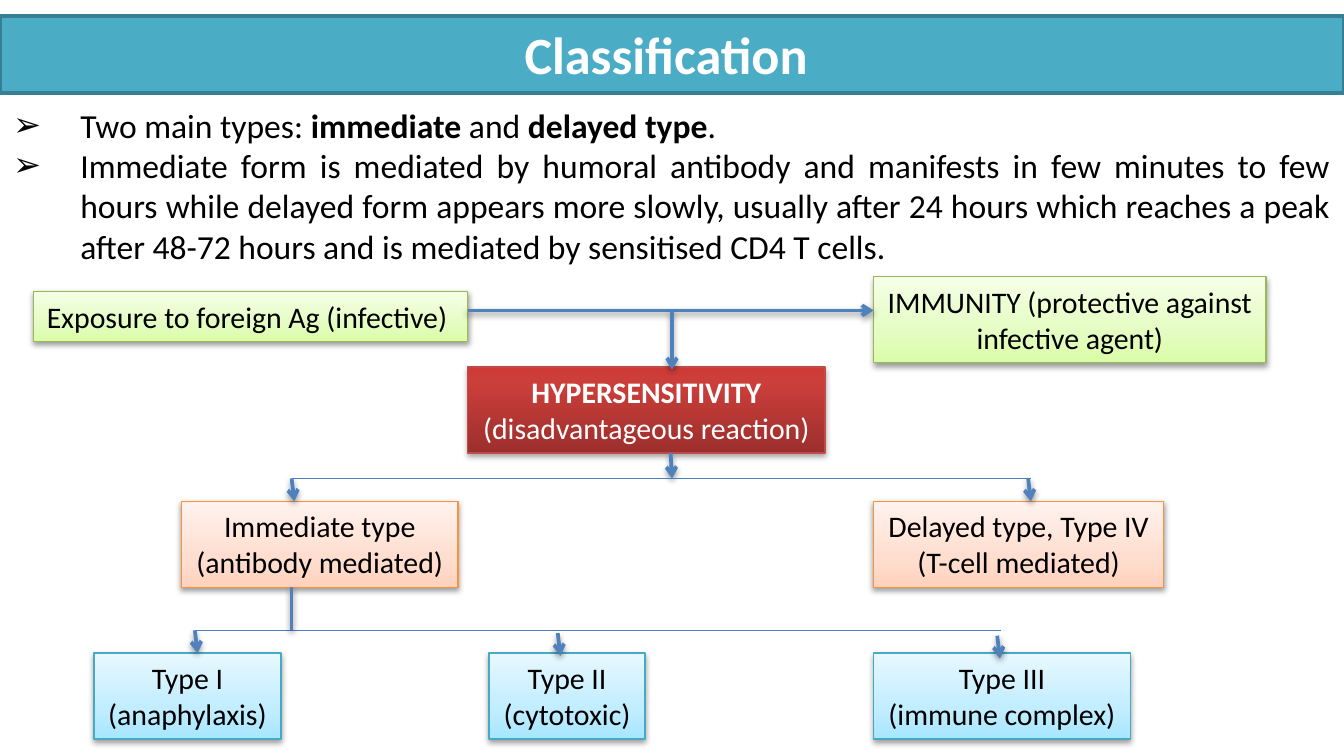
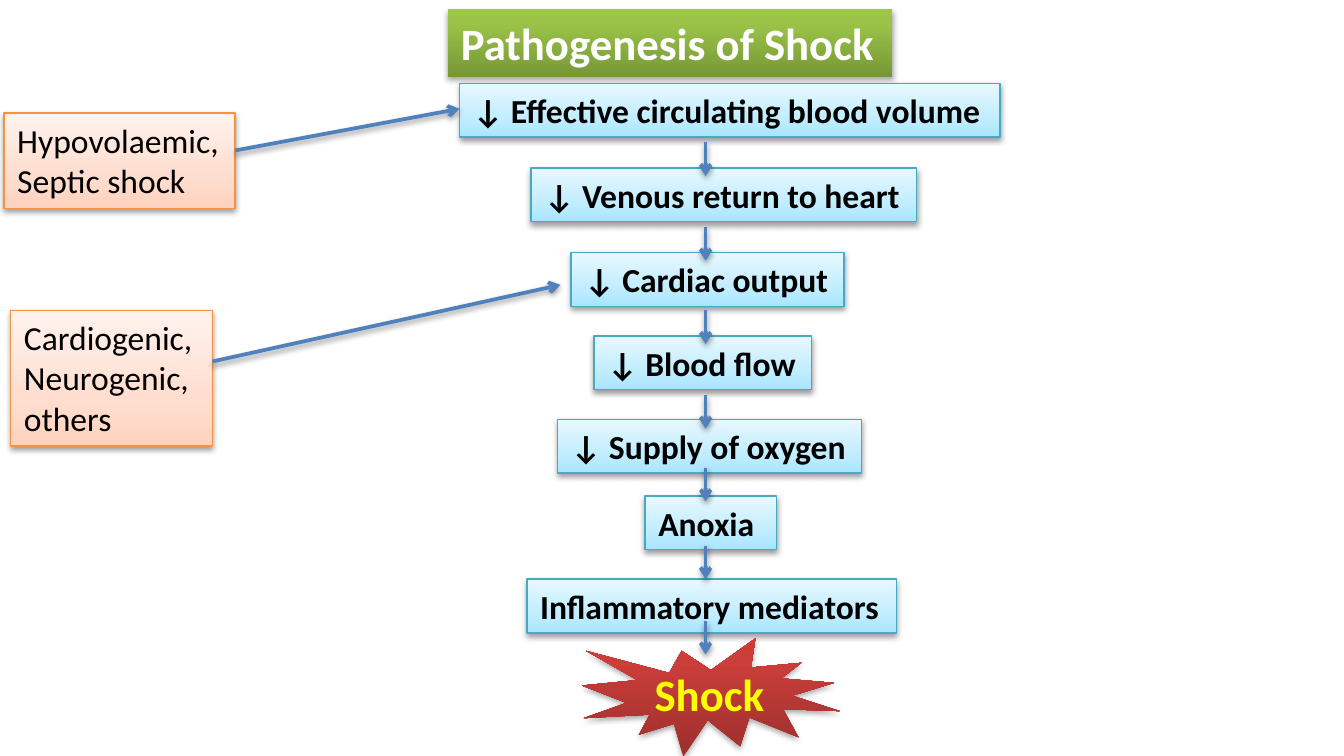
from dataclasses import dataclass

from lxml import etree
from pptx import Presentation
from pptx import util as u
from pptx.dml.color import RGBColor
from pptx.enum import shapes, text
from pptx.oxml.ns import qn

PX = 9144  # EMU in one px, 100 px to the inch
LEFT, CENTER, JUSTIFY = text.PP_ALIGN.LEFT, text.PP_ALIGN.CENTER, text.PP_ALIGN.JUSTIFY


@dataclass(frozen=True)
class Style:
    """Gradient stops from bottom to top, outline, and shadow strength."""
    stops: tuple
    line: str = ""
    shadow_alpha: int = 38000
    shadow_distance: int = 20000


class Theme:
    font = "Calibri"
    black, white, yellow = "000000", "FFFFFF", "FFFF00"
    band, band_line = "4BACC6", "377F92"
    arrow, branch = "4F81BD", "4B7EBC"
    banner_size, heading_size, body_size, node_size = 28, 24, 18, 16
    thin, thick = 0.75, 2

    lime = Style(((0, "DAFDA7"), (35, "E4FCC2"), (100, "F5FFE7")), "98B955")
    peach = Style(((0, "FFD2BD"), (35, "FFDED0"), (100, "FFF2ED")), "F69240")
    sky = Style(((0, "A7E6FF"), (35, "C1EDFF"), (100, "E7F8FF")), "46AAC5")
    red_stops = ((0, "9C2F2D"), (80, "CB3E3A"), (100, "CE3B37"))
    red = Style(red_stops, "BF4C48", 35000, 23000)
    burst = Style(red_stops, "", 35000, 23000)
    green = Style(((0, "779737"), (80, "9BC348"), (100, "9DC746")), "", 35000, 23000)


@dataclass(frozen=True)
class Box:
    left: int
    top: int
    width: int
    height: int

    def inside(self, left, top, width, height):
        return Box(self.left + left, self.top + top, width, height)

    def point(self, x, y):
        return self.left + x, self.top + y

    def emu(self):
        return [n * PX for n in (self.left, self.top, self.width, self.height)]


def add_child(parent, tag, **attributes):
    return etree.SubElement(parent, qn(tag), {k: str(v) for k, v in attributes.items()})


def add_shadow(effects, alpha=38000, distance=20000):
    shadow = add_child(effects, "a:outerShdw", blurRad=40000, dist=distance,
                       dir=5400000, rotWithShape=0)
    add_child(add_child(shadow, "a:srgbClr", val=Theme.black), "a:alpha", val=alpha)


def set_line(line, color, width):
    line.color.rgb = RGBColor.from_string(color)
    line.width = u.Pt(width)


def apply_style(shape, style):
    shape.fill.gradient()
    shape.fill.gradient_angle = 90
    properties = shape.element.spPr
    stop_list = properties.find(qn("a:gradFill")).find(qn("a:gsLst"))
    for stop in list(stop_list):
        stop_list.remove(stop)
    for position, color in style.stops:
        stop = add_child(stop_list, "a:gs", pos=position * 1000)
        add_child(stop, "a:srgbClr", val=color)
    if style.line:
        set_line(shape.line, style.line, Theme.thin)
    else:
        shape.line.fill.background()
    shape.shadow.inherit = False
    add_shadow(properties.find(qn("a:effectLst")), style.shadow_alpha, style.shadow_distance)


def write(shape, paragraphs, size, color=Theme.black, align=LEFT, wrap=True,
          anchor=text.MSO_ANCHOR.TOP, bullet=""):
    """Fill a shape with paragraphs, each a list of (text, bold) runs."""
    frame = shape.text_frame
    frame.word_wrap = wrap
    frame.vertical_anchor = anchor
    for index, runs in enumerate(paragraphs):
        paragraph = frame.add_paragraph() if index else frame.paragraphs[0]
        paragraph.alignment = align
        if bullet:
            properties = paragraph._p.get_or_add_pPr()
            properties.set("marL", str(50 * PX))
            properties.set("indent", str(-50 * PX))
            add_child(properties, "a:buFont", typeface=Theme.font)
            add_child(properties, "a:buChar", char=bullet)
        for words, bold in runs:
            run = paragraph.add_run()
            run.text = words
            run.font.name = Theme.font
            run.font.size = u.Pt(size)
            run.font.bold = bold
            run.font.color.rgb = RGBColor.from_string(color)


def add_node(slide, box, style, lines, size, bold=False, kind=shapes.MSO_SHAPE.RECTANGLE,
             **options):
    node = slide.shapes.add_shape(kind, *box.emu())
    apply_style(node, style)
    write(node, [[(line, bold)] for line in lines], size, **options)
    return node


def add_line(slide, start, end, color=Theme.arrow, width=Theme.thick, head=True, shadow=True):
    line = slide.shapes.add_connector(shapes.MSO_CONNECTOR.STRAIGHT,
                                      *(n * PX for n in (*start, *end)))
    set_line(line.line, color, width)
    properties = line.element.spPr
    if head:
        add_child(properties.find(qn("a:ln")), "a:tailEnd", type="arrow")
    effects = add_child(properties, "a:effectLst")
    if shadow:
        add_shadow(effects)


def add_banner(slide, box, title):
    banner = slide.shapes.add_shape(shapes.MSO_SHAPE.RECTANGLE, *box.emu())
    banner.fill.solid()
    banner.fill.fore_color.rgb = RGBColor.from_string(Theme.band)
    set_line(banner.line, Theme.band_line, Theme.thick)
    banner.shadow.inherit = False
    write(banner, [[(title, True)]], Theme.banner_size, Theme.white, CENTER)


def add_points(slide, box):
    points = [
        [("Two main types: ", False), ("immediate ", True), ("and ", False),
         ("delayed type", True), (".", False)],
        [("Immediate form is mediated by humoral antibody and manifests in few minutes to "
          "few hours while delayed form appears more slowly, usually after 24 hours which "
          "reaches a peak after 48-72 hours and is mediated by sensitised CD4 T cells.",
          False)],
    ]
    write(slide.shapes.add_textbox(*box.emu()), points, Theme.body_size,
          align=JUSTIFY, bullet="➢")


def add_type_tree(slide, box):
    row = 64
    add_node(slide, box.inside(0, 11, 323, 37), Theme.lime,
             ["Exposure to foreign Ag (infective)"], Theme.node_size)
    add_node(slide, box.inside(625, 0, 292, row), Theme.lime,
             ["IMMUNITY (protective against infective agent)"], Theme.node_size, align=CENTER)
    reaction = add_node(slide, box.inside(323, 67, 266, row), Theme.red,
                        ["HYPERSENSITIVITY", "(disadvantageous reaction)"], Theme.node_size,
                        color=Theme.white, align=CENTER, wrap=False)
    reaction.text_frame.paragraphs[0].runs[0].font.bold = True

    types = [
        (110, 167, 206, Theme.peach, "Immediate type", "(antibody mediated)"),
        (625, 167, 216, Theme.peach, "Delayed type, Type IV", "(T-cell mediated)"),
        (45, 280, 139, Theme.sky, "Type I", "(anaphylaxis)"),
        (339, 280, 116, Theme.sky, "Type II", "(cytotoxic)"),
        (625, 280, 191, Theme.sky, "Type III", "(immune complex)"),
    ]
    for left, top, width, style, *lines in types:
        add_node(slide, box.inside(left, top, width, row), style, lines, Theme.node_size,
                 align=CENTER, wrap=False)

    add_line(slide, box.point(323, 25), box.point(625, 25))
    add_line(slide, box.point(475, 25), box.point(475, 69))
    add_line(slide, box.point(474, 131), box.point(475, 150))
    for x, y in [(717, 267), (390, 265), (120, 263), (192, 150), (740, 150)]:
        add_line(slide, box.point(x, y), box.point(x + 2, y + 17))
    for start, end, y in [(192, 742, 150), (120, 720, 263)]:
        add_line(slide, box.point(start, y), box.point(end, y), Theme.branch, Theme.thin,
                 head=False, shadow=False)
    add_line(slide, box.point(192, 263), box.point(192, 231), head=False)


def add_shock_chain(slide, box):
    add_node(slide, box.inside(0, 0, 331, 50), Theme.green, ["Pathogenesis of Shock"],
             Theme.heading_size, True, color=Theme.white)
    steps = [  # left, top, width, start of the arrow below, words
        (9, 55, 402, 99, "↓ Effective circulating blood volume"),
        (62, 118, 287, 162, "↓ Venous return to heart"),
        (92, 181, 203, 224, "↓ Cardiac output"),
        (109, 243, 162, 287, "↓ Blood flow"),
        (82, 305, 226, 341, "↓ Supply of oxygen"),
        (147, 362, 98, 399, "Anoxia"),
        (59, 424, 275, 455, "Inflammatory mediators"),
    ]
    for left, top, width, _, words in steps:
        add_node(slide, box.inside(left, top, width, 40), Theme.sky, [words],
                 Theme.body_size, True)
    for _, _, _, start, _ in steps:
        add_line(slide, box.point(192, start), box.point(192, start + 25))
    add_node(slide, box.inside(100, 468, 192, 88), Theme.burst, ["Shock"],
             Theme.heading_size, True, shapes.MSO_SHAPE.EXPLOSION1, color=Theme.yellow,
             align=CENTER, anchor=text.MSO_ANCHOR.MIDDLE)


def add_causes(slide, box):
    causes = [
        ((0, 3, 172, 71), (172, 31), (339, 0), ["Hypovolaemic,", "Septic shock"]),
        ((5, 150, 150, 101), (155, 188), (414, 131), ["Cardiogenic,", "Neurogenic,", "others"]),
    ]
    for place, start, end, lines in causes:
        add_node(slide, box.inside(*place), Theme.peach, lines, Theme.body_size)
        add_line(slide, box.point(*start), box.point(*end))


def build_classification(slide):
    add_points(slide, Box(0, 73, 1000, 131))
    add_banner(slide, Box(0, 12, 1000, 57), "Classification ")
    add_type_tree(slide, Box(25, 206, 917, 344))


def build_pathogenesis(slide):
    add_shock_chain(slide, Box(333, 7, 411, 556))
    add_causes(slide, Box(3, 81, 414, 251))


def main():
    presentation = Presentation()
    presentation.slide_width, presentation.slide_height = u.Pt(720), u.Pt(405)
    for build in (build_classification, build_pathogenesis):
        build(presentation.slides.add_slide(presentation.slide_layouts[6]))
    presentation.save("out.pptx")


if __name__ == "__main__":
    main()
